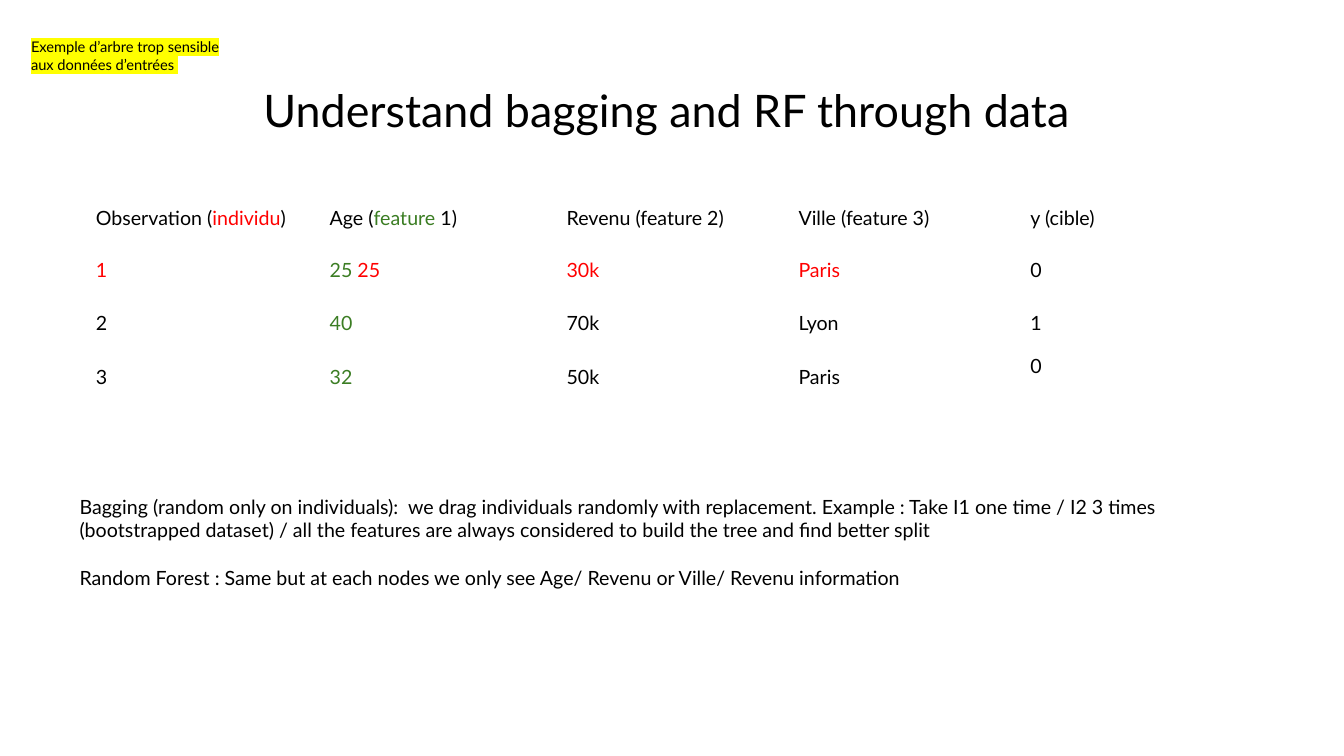
from lxml import etree
from pptx import Presentation
from pptx.dml.color import RGBColor
from pptx.enum.text import MSO_ANCHOR, PP_ALIGN
from pptx.oxml.ns import qn
from pptx.util import Inches, Pt

TOP, MIDDLE = MSO_ANCHOR.TOP, MSO_ANCHOR.MIDDLE
LEFT, CENTER = PP_ALIGN.LEFT, PP_ALIGN.CENTER
FONT = "Lato"
COLORS = {"black": "000000", "red": "FF0000", "green": "3B7D23", "yellow": "FFFF00"}

# A cell is plain text or a list of (text, color) runs.
ROWS = [
    [[("Observation (", "black"), ("individu", "red"), (")", "black")],
     [("Age (", "black"), ("feature", "green"), (" 1)", "black")],
     "Revenu (feature 2)", "Ville (feature 3)", "y (cible)"],
    [[("1", "red")], [("25 ", "green"), ("25", "red")], [("30k", "red")],
     [("Paris", "red")], "0"],
    ["2", [("40", "green")], "70k", "Lyon", "1"],
    ["3", [("32", "green")], "50k", "Paris", "0"],
]
WIDTHS = [2.32, 2.35, 2.3, 2.3, 2.3]
HEIGHTS = [0.52, 0.52, 0.52, 0.56]
NOTES = [
    "Bagging (random only on individuals):  we drag individuals randomly with "
    "replacement. Example : Take I1 one time / I2 3 times (bootstrapped dataset) / "
    "all the features are always considered to build the tree and find better split",
    "Random Forest : Same but at each nodes we only see Age/ Revenu or Ville/ "
    "Revenu information",
]


def add_runs(para, content, size, mark=None):
    """Fill a paragraph with colored runs, highlighted if mark is given."""
    if isinstance(content, str):
        content = [(content, "black")]
    for text, color in content:
        run = para.add_run()
        run.text = text
        for name, value in {"size": Pt(size), "name": FONT, "bold": False}.items():
            setattr(run.font, name, value)
        run.font.color.rgb = RGBColor.from_string(COLORS[color])
        if mark:
            light = etree.Element(qn("a:highlight"))
            etree.SubElement(light, qn("a:srgbClr"), val=COLORS[mark])
            run.font.fill  # fill must precede the highlight
            run._r.rPr.find(qn("a:solidFill")).addnext(light)


def add_text(slide, box, lines, size, anchor=TOP, align=LEFT, spacing=1.0, gap=0,
             mark=None):
    frame = slide.shapes.add_textbox(*map(Inches, box)).text_frame
    frame.word_wrap = True
    frame.vertical_anchor = anchor
    for i, line in enumerate(lines):
        para = frame.add_paragraph() if i else frame.paragraphs[0]
        style = {"alignment": align, "line_spacing": spacing,
                 "space_before": Pt(gap if i else 0)}
        for name, value in style.items():
            setattr(para, name, value)
        add_runs(para, line, size, mark)


def add_title(slide, box):
    add_text(slide, box, ["Understand bagging and RF through data "], 32,
             MIDDLE, CENTER, 0.9)


def add_data(slide, box):
    table = slide.shapes.add_table(len(ROWS), len(WIDTHS), *map(Inches, box)).table
    table.first_row = table.horz_banding = False
    for column, width in zip(table.columns, WIDTHS):
        column.width = Inches(width)
    for row, height, items in zip(table.rows, HEIGHTS, ROWS):
        row.height = Inches(height)
        for cell, item in zip(row.cells, items):
            cell.fill.background()
            cell.vertical_anchor = MIDDLE
            add_runs(cell.text_frame.paragraphs[0], item, 14)
    # The last target value sits at the top of its cell.
    table.cell(len(ROWS) - 1, len(WIDTHS) - 1).vertical_anchor = TOP


def add_notes(slide, box):
    add_text(slide, box, NOTES, 14, gap=17)


def add_label(slide, box):
    add_text(slide, box, ["Exemple d’arbre trop sensible aux données d’entrées "],
             10.5, mark="yellow")


def main():
    deck = Presentation()
    deck.slide_width, deck.slide_height = Inches(13.33), Inches(7.5)
    slide = deck.slides.add_slide(deck.slide_layouts[6])
    add_title(slide, (0.92, 0.4, 11.5, 1.45))
    add_data(slide, (0.85, 1.9, sum(WIDTHS), sum(HEIGHTS)))
    add_notes(slide, (0.69, 4.86, 12.01, 1.31))
    add_label(slide, (0.21, 0.33, 2.24, 0.47))
    deck.save("out.pptx")


if __name__ == "__main__":
    main()
